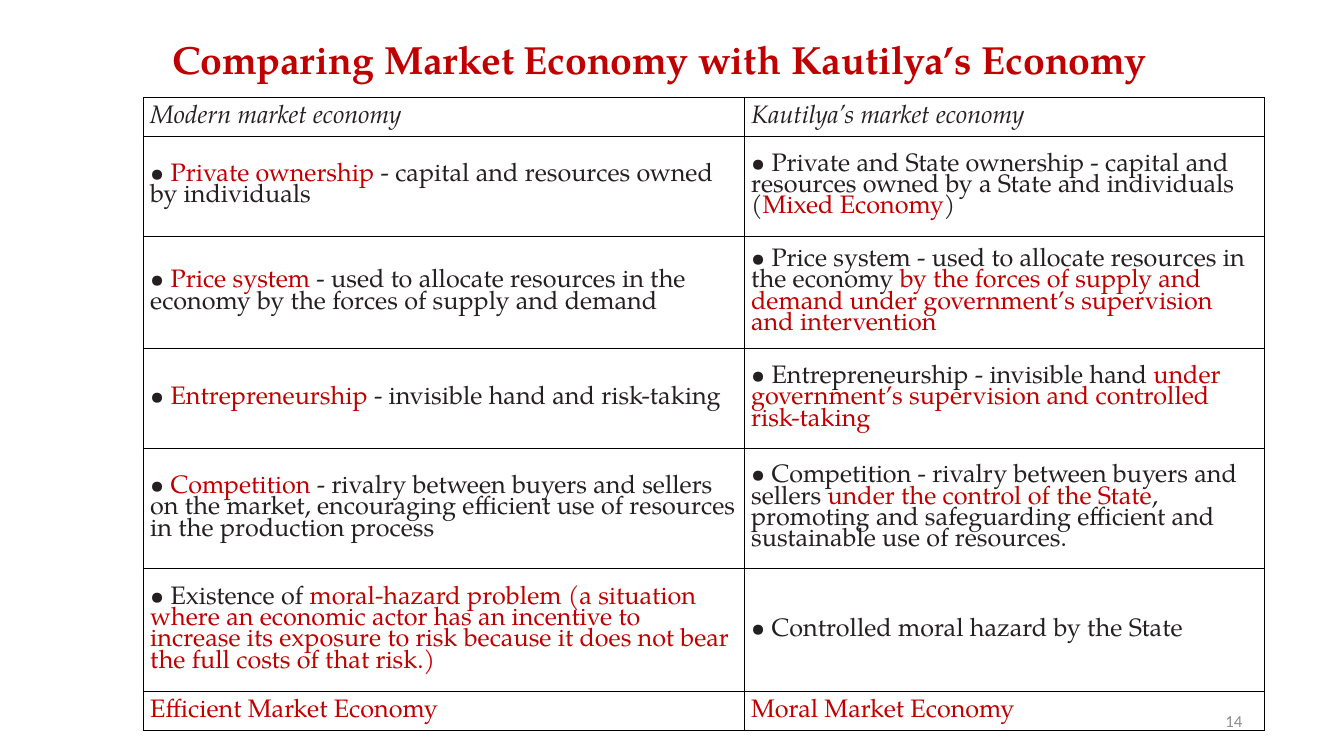
from lxml import etree
from pptx import Presentation
from pptx.dml.color import RGBColor
from pptx.enum.text import MSO_ANCHOR as ANCHOR, PP_ALIGN as ALIGN
from pptx.oxml.ns import qn
from pptx.util import Inches, Pt

RED = RGBColor(0xC0, 0x00, 0x00)
INK = RGBColor(0x24, 0x20, 0x21)
GRAY = RGBColor(0x8C, 0x8C, 0x8C)
SERIF = "TeX Gyre Pagella"
LEFT = 1.42
COLS = [5.96, 5.16]
ROWS = [0.38, 0.99, 1.12, 0.99, 1.19, 1.22, 0.39]

# Text between bars is red
CELLS = [
    ("Modern market economy", "Kautilya’s market economy"),
    ("• |Private ownership |- capital and resources owned by individuals",
     "• Private and State ownership - capital and resources owned by a State "
     "and individuals (|Mixed Economy|)"),
    ("• |Price system |- used to allocate resources in the economy by the "
     "forces of supply and demand",
     "• Price system - used to allocate resources in the economy |by the forces "
     "of supply and demand under government’s supervision and intervention"),
    ("• |Entrepreneurship |- invisible hand and risk-taking",
     "• Entrepreneurship - invisible hand |under government’s supervision and "
     "controlled risk-taking"),
    ("• |Competition |- rivalry between buyers and sellers on the market, "
     "encouraging efficient use of resources in the production process",
     "• Competition - rivalry between buyers and sellers |under the control of "
     "the State|, promoting and safeguarding efficient and sustainable use of "
     "resources."),
    ("• Existence of |moral-hazard problem (a situation where an economic actor "
     "has an incentive to increase its exposure to risk because it does not "
     "bear the full costs of that risk.)",
     "• Controlled moral hazard by the State"),
    ("|Efficient Market Economy", "|Moral Market Economy"),
]


def add_text(box, text, font, size, color, align, anchor):
    """Add a one-paragraph text box and return its paragraph."""
    tf = s.shapes.add_textbox(*map(Inches, box)).text_frame
    tf.word_wrap = True
    tf.vertical_anchor = anchor
    p = tf.paragraphs[0]
    p.text, p.alignment = text, align
    p.font.name, p.font.size, p.font.color.rgb = font, Pt(size), color
    return p


def add_borders(cell):
    """Give a cell thin black borders on all four sides."""
    tc_pr = cell._tc.get_or_add_tcPr()
    for i, side in enumerate(("lnL", "lnR", "lnT", "lnB")):
        ln = etree.Element(qn(f"a:{side}"), w=str(Pt(0.5)))
        fill = etree.SubElement(ln, qn("a:solidFill"))
        etree.SubElement(fill, qn("a:srgbClr"), val="000000")
        tc_pr.insert(i, ln)


prs = Presentation()
prs.slide_width, prs.slide_height = Inches(13.33), Inches(7.5)
s = prs.slides.add_slide(prs.slide_layouts[6])

table = s.shapes.add_table(len(ROWS), len(COLS), Inches(LEFT), Inches(0.97),
                           Inches(sum(COLS)), Inches(sum(ROWS))).table
table.first_row = table.horz_banding = False
for column, width in zip(table.columns, COLS):
    column.width = Inches(width)
for row, height in zip(table.rows, ROWS):
    row.height = Inches(height)

for i, texts in enumerate(CELLS):
    for j, text in enumerate(texts):
        cell = table.cell(i, j)
        cell.fill.background()
        add_borders(cell)
        cell.vertical_anchor = ANCHOR.MIDDLE
        cell.margin_left = cell.margin_right = Inches(0.07)
        cell.margin_top = cell.margin_bottom = Inches(0.04)
        p = cell.text_frame.paragraphs[0]
        p.line_spacing = 0.84
        p.font.name, p.font.size, p.font.italic = SERIF, Pt(18), i == 0
        for k, part in enumerate(text.split("|")):
            if part:
                r = p.add_run()
                r.text = part
                r.font.color.rgb = RED if k % 2 else INK

add_text((9.42, 6.95, 3, 0.4), "14", "Calibri", 12, GRAY,
         ALIGN.RIGHT, ANCHOR.MIDDLE)
title = add_text((LEFT, 0.3, 10.24, 0.57),
                 "Comparing Market Economy with Kautilya’s Economy",
                 SERIF, 28, RED, ALIGN.CENTER, ANCHOR.TOP)
title.font.bold = True

prs.save("out.pptx")
